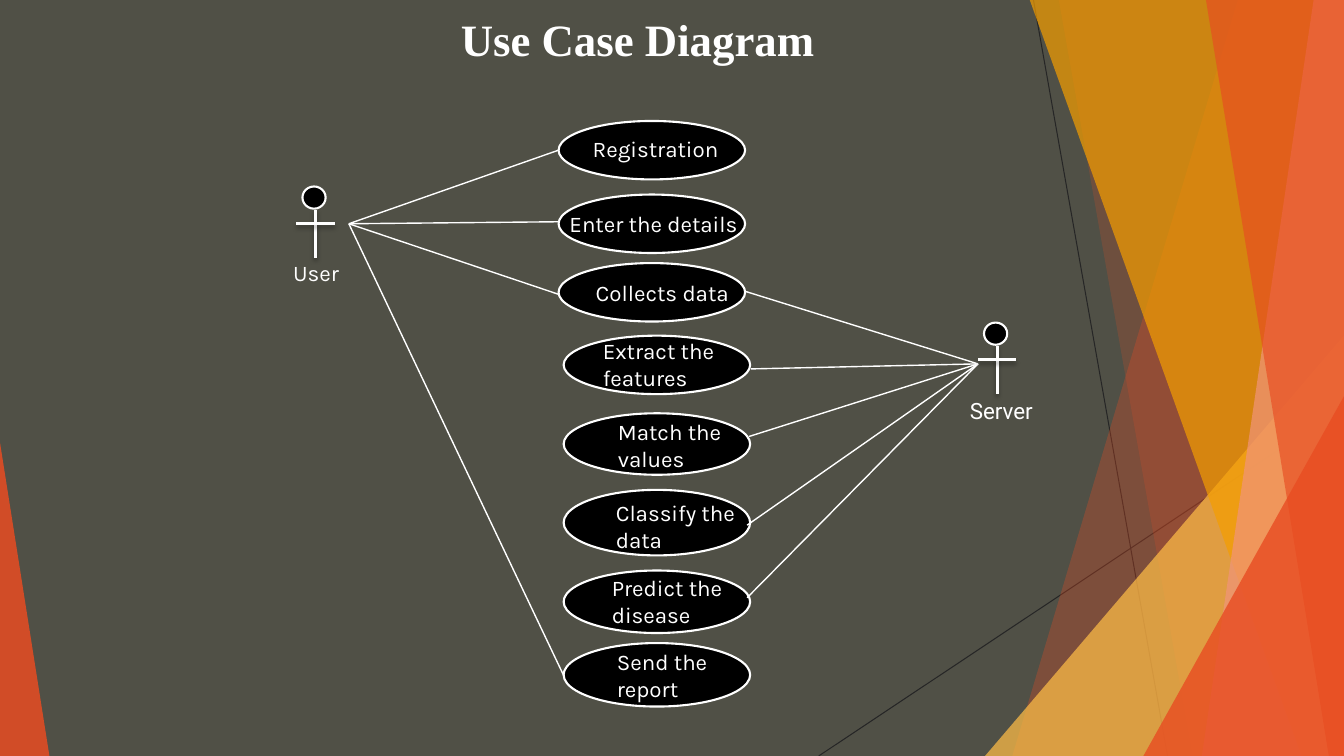
from lxml import etree
from pptx import Presentation
from pptx.dml.color import RGBColor
from pptx.enum import shapes, text
from pptx.oxml import ns
from pptx.util import Inches, Pt

BACKGROUND = RGBColor(0x50, 0x50, 0x46)
WHITE = RGBColor(0xFF, 0xFF, 0xFF)
BLACK = RGBColor(0x00, 0x00, 0x00)
CHARCOAL = RGBColor(0x26, 0x26, 0x26)
RED = RGBColor(0xE8, 0x4C, 0x22)
YELLOW = RGBColor(0xFF, 0xBD, 0x47)
AMBER = RGBColor(0xF4, 0x9D, 0x00)
SALMON = RGBColor(0xF1, 0x94, 0x7A)

presentation = Presentation()
presentation.slide_width = Inches(13.33)
presentation.slide_height = Inches(7.5)
slide = presentation.slides.add_slide(presentation.slide_layouts[5])
slide.background.fill.solid()
slide.background.fill.fore_color.rgb = BACKGROUND


def write_text(words, left, top, width, height, font="Karla", size=16, bold=False, shape=None):
    """Write white text in the given shape, or in a new text box."""
    if shape is None:
        shape = slide.shapes.add_textbox(0, 0, 0, 0)
    shape.left, shape.top = Inches(left), Inches(top)
    shape.width, shape.height = Inches(width), Inches(height)
    frame = shape.text_frame
    frame.word_wrap = True
    frame.auto_size = text.MSO_AUTO_SIZE.NONE
    frame.vertical_anchor = text.MSO_ANCHOR.TOP
    paragraph = frame.paragraphs[0]
    paragraph.alignment = text.PP_ALIGN.LEFT
    run = paragraph.add_run()
    run.text = words
    run.font.name, run.font.size, run.font.bold = font, Pt(size), bold
    run.font.color.rgb = WHITE


def draw_line(start, end, color=WHITE, width=1, shadow=False):
    """Draw a straight line, with a soft shadow below it if asked for."""
    line = slide.shapes.add_connector(
        shapes.MSO_CONNECTOR.STRAIGHT, *(Inches(value) for value in start + end))
    line.line.color.rgb = color
    line.line.width = Pt(width)
    effects = etree.SubElement(line._element.spPr, ns.qn("a:effectLst"))
    if shadow:
        outer = etree.SubElement(effects, ns.qn("a:outerShdw"), blurRad=str(Pt(3)),
                                 dist=str(Pt(2)), dir="5400000", rotWithShape="0")
        tint = etree.SubElement(outer, ns.qn("a:srgbClr"), val=str(BLACK))
        etree.SubElement(tint, ns.qn("a:alpha"), val="35000")


# Title
write_text("Use Case Diagram", 4.47, 0.07, 4.38, 0.64, font="Times New Roman",
           size=32, bold=True, shape=slide.shapes.title)

# Thin lines behind the coloured panels
draw_line((10.25, 0), (11.58, 7.5), CHARCOAL, 0.75)
draw_line((13.33, 4.03), (8.12, 7.5), CHARCOAL, 0.75)

# Translucent panels: a band is (top x, bottom x) and reaches the right edge,
# a triangle is (left, top, width, apex position) and reaches the bottom edge
panels = [
    ((12.28, 10.04), RED, 30),
    ((10.5, 11.83), RED, 20),
    ((9.77, 3.33, 3.56, 1), YELLOW, 72),
    ((10.21, 12.91), AMBER, 70),
    ((13.03, 11.92), SALMON, 70),
    ((11.96, 13.18), RED, 65),
    ((11.34, 3.93, 1.99, 1), RED, 80),
    ((0, 4.39, 0.49, 0), RED, 85),
]
for geometry, color, opacity in panels:
    if len(geometry) == 2:
        top_x, bottom_x = geometry
        builder = slide.shapes.build_freeform(Inches(top_x), Inches(-0.01))
        corners = [(13.33, -0.01), (13.33, 7.5), (bottom_x, 7.5)]
        builder.add_line_segments([(Inches(x), Inches(y)) for x, y in corners])
        panel = builder.convert_to_shape()
    else:
        left, top, width, apex = geometry
        panel = slide.shapes.add_shape(
            shapes.MSO_SHAPE.ISOSCELES_TRIANGLE,
            Inches(left), Inches(top), Inches(width), Inches(7.5 - top))
        panel.adjustments[0] = apex
    panel.shadow.inherit = False
    panel.line.fill.background()
    panel.fill.solid()
    panel.fill.fore_color.rgb = color
    tint = panel._element.spPr.find(".//" + ns.qn("a:srgbClr"))
    etree.SubElement(tint, ns.qn("a:alpha"), val=str(opacity * 1000))

# Use cases: ellipse left, top, height; label and its left, top, width, height
use_cases = [
    (5.54, 1.2, 0.58, "Registration", 5.78, 1.29, 1.65, 0.37),
    (5.54, 1.93, 0.58, "Enter the details", 5.55, 2.04, 1.9, 0.37),
    (5.54, 2.61, 0.58, "Collects data", 5.81, 2.72, 1.65, 0.37),
    (5.59, 3.33, 0.58, "Extract the features", 5.88, 3.3, 1.95, 0.64),
    (5.59, 4.1, 0.61, "Match the values", 6.03, 4.1, 1.65, 0.64),
    (5.59, 4.86, 0.65, "Classify the data", 6.01, 4.9, 1.64, 0.64),
    (5.59, 5.66, 0.62, "Predict the disease", 5.97, 5.65, 1.66, 0.64),
    (5.59, 6.38, 0.63, "Send the report", 6.02, 6.38, 1.71, 0.64),
]
# Actors: head left, top; label, its left, top, width and font
actors = [
    (3, 1.85, "User", 2.81, 2.52, 0.76, "Karla"),
    (9.76, 3.2, "Server", 9.52, 3.89, 0.88, "Roboto"),
]

# Ellipses of the use cases and heads of the actors
ellipses = [(left, top, 1.85, height) for left, top, height, *_ in use_cases]
ellipses += [(left, top, 0.23, 0.22) for left, top, *_ in actors]
for box in ellipses:
    ellipse = slide.shapes.add_shape(
        shapes.MSO_SHAPE.OVAL, *(Inches(value) for value in box))
    ellipse.shadow.inherit = False
    ellipse.fill.solid()
    ellipse.fill.fore_color.rgb = BLACK
    ellipse.line.color.rgb = WHITE
    ellipse.line.width = Pt(1.5)

# Links from each actor to its use cases
links = {
    (3.46, 2.22): [(5.54, 1.49), (5.54, 2.2), (5.54, 2.92), (5.59, 6.7)],
    (9.7, 3.61): [(7.39, 2.89), (7.45, 3.66), (7.43, 4.33), (7.41, 5.21), (7.41, 5.93)],
}
for hand, targets in links.items():
    for target in targets:
        draw_line(hand, target)

# Labels of the use cases
for _, _, _, label, *box in use_cases:
    write_text(label, *box)

# Bodies, arms and labels of the actors
for left, top, label, label_left, label_top, label_width, font in actors:
    spine, arms = left + 0.13, top + 0.37
    draw_line((spine, top + 0.23), (spine, top + 0.71), width=2, shadow=True)
    draw_line((spine - 0.19, arms), (spine + 0.19, arms), width=2, shadow=True)
    write_text(label, label_left, label_top, label_width, 0.37, font=font)

presentation.save("out.pptx")
